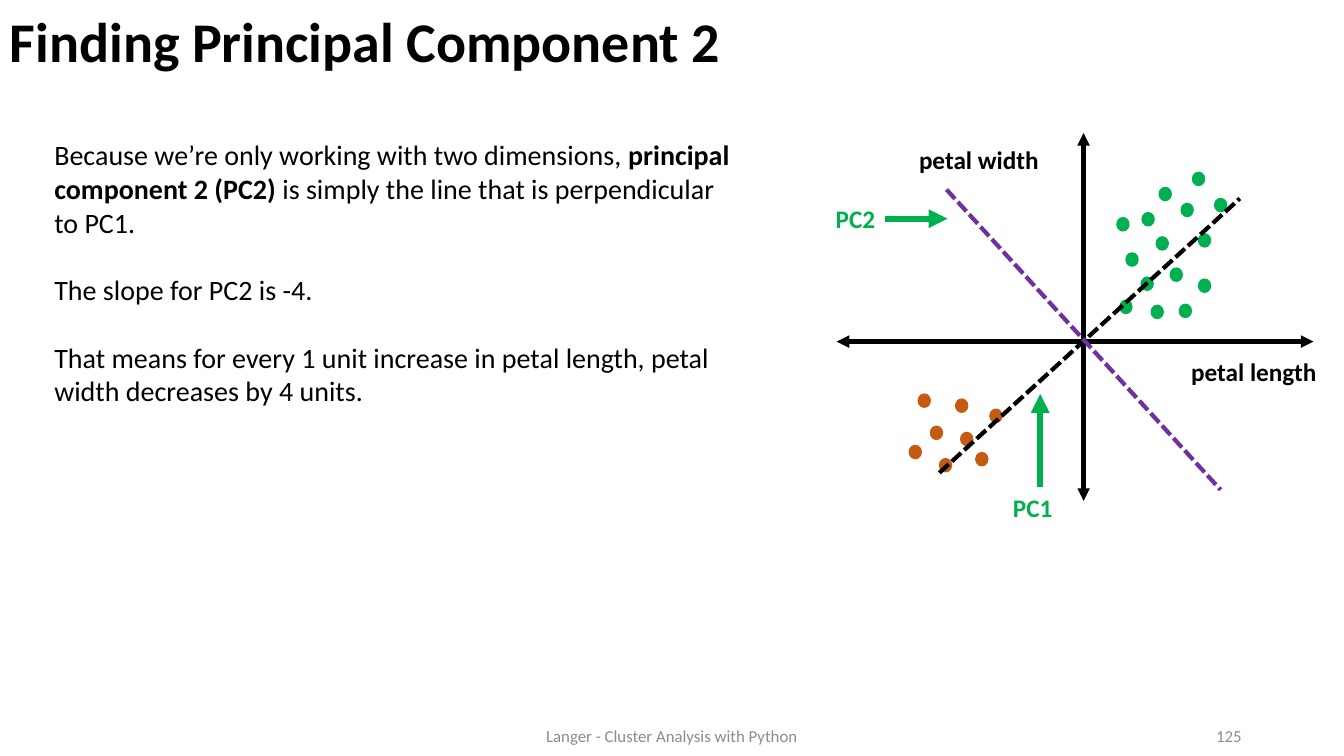
from dataclasses import dataclass

from lxml.etree import SubElement
from pptx import Presentation
from pptx.dml.color import RGBColor
from pptx.enum.dml import MSO_LINE as Dash
from pptx.enum.shapes import MSO_CONNECTOR as Connector, MSO_SHAPE as Shape
from pptx.enum.text import MSO_ANCHOR as Anchor, PP_ALIGN as Align
from pptx.oxml.ns import qn
from pptx.util import Pt


@dataclass(frozen=True)
class Theme:
    font: str = "Calibri"
    ink: str = "000000"
    muted: str = "8C8C8C"
    green: str = "00B050"
    orange: str = "C55A11"
    purple: str = "7030A0"
    title: float = 40
    body: float = 20
    label: float = 18
    footer: float = 12
    line: float = 3
    pointer: float = 4.5


THEME = Theme()

# Dot centres in points from the crossing of the axes
GREEN_DOTS = [
    (74, -94), (52.6, -21.2), (86.4, -72.3), (58.3, -105.4), (86.4, -39.9),
    (56.2, -70.1), (30.2, -24.8), (45.4, -41.3), (82.1, -116.2), (97.9, -97.5),
    (46.1, -87.4), (28.1, -83.8), (34.6, -58.6), (66.2, -47.8), (72.7, -21.9),
]
ORANGE_DOTS = [
    (-72.7, 84), (-105.1, 65.2), (-113.8, 42.2), (-120.2, 78.9),
    (-83.5, 69.6), (-87.1, 45.8), (-98.6, 88.3), (-62.6, 53),
]
DOT_WIDTH, DOT_HEIGHT = 8.6, 9.4


def add_text(slide, box, paragraphs, size, color=THEME.ink, bold=False,
             align=Align.LEFT, anchor=Anchor.TOP, gap=0, spacing=None):
    """Each paragraph is a list of (text, bold) runs or a plain string."""
    holder = slide.shapes.add_textbox(*map(Pt, box))
    frame = holder.text_frame
    frame.word_wrap = True
    frame.vertical_anchor = anchor
    for index, content in enumerate(paragraphs):
        paragraph = frame.add_paragraph() if index else frame.paragraphs[0]
        paragraph.alignment = align
        if index and gap:
            paragraph.space_before = Pt(gap)
        if spacing:
            paragraph.line_spacing = spacing
        runs = [(content, bold)] if isinstance(content, str) else content
        for words, strong in runs:
            run = paragraph.add_run()
            run.text = words
            run.font.name = THEME.font
            run.font.size = Pt(size)
            run.font.bold = strong
            run.font.color.rgb = RGBColor.from_string(color)
    return holder


def add_line(slide, start, end, color, width, dashed=False, arrows=()):
    line = slide.shapes.add_connector(Connector.STRAIGHT, *map(Pt, start + end))
    line.line.color.rgb = RGBColor.from_string(color)
    line.line.width = Pt(width)
    if dashed:
        line.line.dash_style = Dash.SQUARE_DOT
    outline = line.line._get_or_add_ln()
    for arrow in arrows:
        SubElement(outline, qn(f"a:{arrow}"), type="triangle")
    SubElement(line._element.spPr, qn("a:effectLst"))
    return line


def add_dot(slide, center, color):
    x, y = center
    dot = slide.shapes.add_shape(
        Shape.OVAL, Pt(x - DOT_WIDTH / 2), Pt(y - DOT_HEIGHT / 2),
        Pt(DOT_WIDTH), Pt(DOT_HEIGHT))
    dot.shadow.inherit = False
    dot.fill.solid()
    dot.fill.fore_color.rgb = RGBColor.from_string(color)
    dot.line.color.rgb = RGBColor.from_string(color)
    dot.line.width = Pt(1)


def draw_title(slide, box):
    add_text(slide, box, ["Finding Principal Component 2"], THEME.title,
             bold=True, anchor=Anchor.MIDDLE, spacing=0.9)


def draw_explanation(slide, box):
    add_text(slide, box, [
        [("Because we’re only working with two dimensions, ", False),
         ("principal component 2 (PC2)", True),
         (" is simply the line that is perpendicular to PC1.", False)],
        "The slope for PC2 is -4.",
        "That means for every 1 unit increase in petal length, "
        "petal width decreases by 4 units.",
    ], THEME.body, gap=24.2)


def draw_plot(slide, box):
    left, top, width, height = box
    origin_x, origin_y = left + 176.4, top + 149

    def at(x, y):
        return origin_x + x, origin_y + y

    def label(words, x, y, label_width, color=THEME.ink, align=Align.LEFT):
        return add_text(slide, at(x, y) + (label_width, 29), [words],
                        THEME.label, color=color, bold=True, align=align)

    # Two clusters
    for dots, color in ((GREEN_DOTS, THEME.green), (ORANGE_DOTS, THEME.orange)):
        for dot in dots:
            add_dot(slide, at(*dot), color)

    # Axes
    both_ends = ("headEnd", "tailEnd")
    add_line(slide, (origin_x, top + height), (origin_x, top),
             THEME.ink, THEME.line, arrows=both_ends)
    add_line(slide, (left, origin_y), (left + width, origin_y),
             THEME.ink, THEME.line, arrows=both_ends)
    label("petal length", 69.8, 7.3, 108.7)
    label("petal width", -124.6, -144.6, 103)

    # First component
    add_line(slide, at(-103, 93.7), at(111.6, -102.2),
             THEME.ink, THEME.line, dashed=True)
    label("PC1", -57.6, 103.8, 70.6, THEME.green)
    add_line(slide, at(-31, 103.8), at(-31, 37.5),
             THEME.green, THEME.pointer, arrows=("tailEnd",))

    # Second component
    add_line(slide, at(-97.9, -108.6), at(97.9, 105.9),
             THEME.purple, THEME.line, dashed=True)
    pc2 = label("PC2", -212.4, -102.3, 70.6, THEME.green, Align.RIGHT)
    pc2_pointer = add_line(slide, at(-141.8, -87.8), at(-97.2, -87.8),
                           THEME.green, THEME.pointer, arrows=("tailEnd",))
    pc2_pointer.begin_connect(pc2, 3)


def draw_footer(slide, box):
    left, top, width, height = box
    style = dict(size=THEME.footer, color=THEME.muted, anchor=Anchor.MIDDLE)
    add_text(slide, (left, top, 324, height),
             ["Langer - Cluster Analysis with Python"],
             align=Align.CENTER, **style)
    add_text(slide, (left + width - 216, top, 216, height), ["125"],
             align=Align.RIGHT, **style)


def main():
    deck = Presentation()
    deck.slide_width, deck.slide_height = Pt(960), Pt(540)
    slide = deck.slides.add_slide(deck.slide_layouts[6])
    draw_title(slide, (0, 1.4, 766, 60))
    draw_footer(slide, (318, 511, 576, 29))
    draw_explanation(slide, (31.7, 95, 505.4, 201))
    draw_plot(slide, (597.6, 95, 340.6, 262.8))
    deck.save("out.pptx")


if __name__ == "__main__":
    main()
